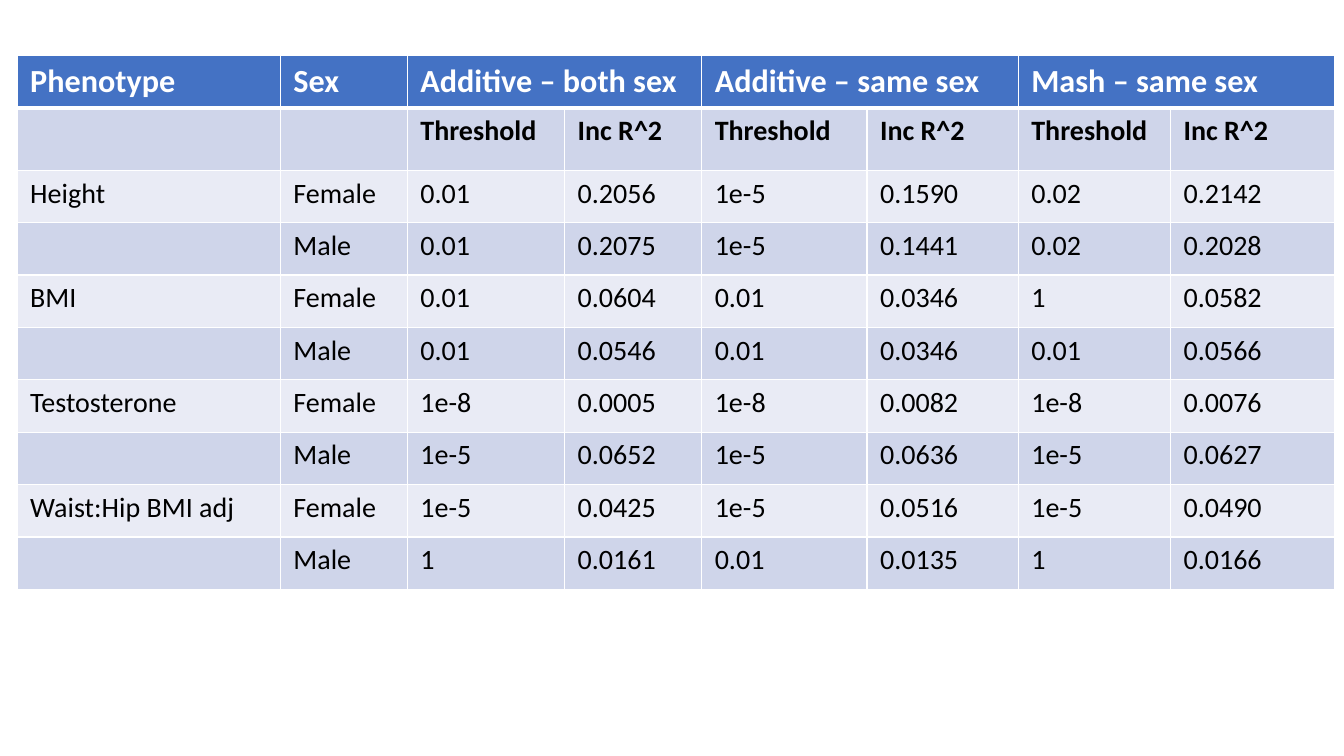
from lxml import etree
from pptx import Presentation
from pptx.dml.color import RGBColor
from pptx.oxml.ns import qn
from pptx.util import Inches, Pt

GROUPS = ["Additive – both sex", "Additive – same sex", "Mash – same sex"]
MEASURES = ["Threshold", "Inc R^2"]
# Phenotype: one line per sex, with threshold and R^2 for each group
RESULTS = {
    "Height": {
        "Female": ["0.01", "0.2056", "1e-5", "0.1590", "0.02", "0.2142"],
        "Male": ["0.01", "0.2075", "1e-5", "0.1441", "0.02", "0.2028"],
    },
    "BMI": {
        "Female": ["0.01", "0.0604", "0.01", "0.0346", "1", "0.0582"],
        "Male": ["0.01", "0.0546", "0.01", "0.0346", "0.01", "0.0566"],
    },
    "Testosterone": {
        "Female": ["1e-8", "0.0005", "1e-8", "0.0082", "1e-8", "0.0076"],
        "Male": ["1e-5", "0.0652", "1e-5", "0.0636", "1e-5", "0.0627"],
    },
    "Waist:Hip BMI adj": {
        "Female": ["1e-5", "0.0425", "1e-5", "0.0516", "1e-5", "0.0490"],
        "Male": ["1", "0.0161", "0.01", "0.0135", "1", "0.0166"],
    },
}

THEME = {
    "font": "Calibri", "header_size": 23, "body_size": 20,
    "header_fill": "4472C4", "bands": ["E9EBF5", "CFD5EA"],
    "header_text": "FFFFFF", "body_text": "000000",
    "border": "FFFFFF", "thin": 1, "thick": 3,
}
SLIDE_SIZE = (13.33, 7.5)
TABLE_LEFT, TABLE_TOP = 0.17, 0.55
COLUMN_WIDTHS = [2.61, 1.26, 1.56, 1.36, 1.64, 1.5, 1.51, 1.63]
ROW_HEIGHT, MEASURE_ROW_HEIGHT = 0.52, 0.62
MARGIN_X, MARGIN_Y = 0.13, 0.06
BLANK_LAYOUT = 6


def table_rows():
    """Return the text of every row, headers first."""
    group_cells = [text for group in GROUPS for text in (group, "")]
    rows = [["Phenotype", "Sex"] + group_cells,
            ["", ""] + MEASURES * len(GROUPS)]
    for phenotype, by_sex in RESULTS.items():
        for index, (sex, values) in enumerate(by_sex.items()):
            rows.append([phenotype if index == 0 else "", sex] + values)
    return rows


def set_borders(cell, bottom_width, top_width):
    """Draw white lines on the four sides of a cell."""
    properties = cell._tc.get_or_add_tcPr()
    thin = THEME["thin"]
    sides = {"L": thin, "R": thin, "T": top_width, "B": bottom_width}
    for side, width in sides.items():
        line = etree.SubElement(properties, qn(f"a:ln{side}"), w=str(Pt(width)))
        fill = etree.SubElement(line, qn("a:solidFill"))
        etree.SubElement(fill, qn("a:srgbClr"), val=THEME["border"])


def style_cell(cell, text, row_index):
    """Fill one cell and set its text, margins and borders."""
    is_header = row_index == 0
    thin, thick = THEME["thin"], THEME["thick"]
    set_borders(cell, thick if is_header else thin,
                thick if row_index == 1 else thin)
    cell.fill.solid()
    fill = THEME["header_fill"] if is_header else THEME["bands"][row_index % 2]
    cell.fill.fore_color.rgb = RGBColor.from_string(fill)
    cell.margin_left = cell.margin_right = Inches(MARGIN_X)
    cell.margin_top = cell.margin_bottom = Inches(MARGIN_Y)
    if not text:
        return
    paragraph = cell.text_frame.paragraphs[0]
    paragraph.text = text
    font = paragraph.font
    font.name = THEME["font"]
    font.size = Pt(THEME["header_size" if is_header else "body_size"])
    font.bold = row_index < 2
    color = THEME["header_text" if is_header else "body_text"]
    font.color.rgb = RGBColor.from_string(color)


def add_results_table(slide):
    """Add the table of thresholds and R^2 values."""
    rows = table_rows()
    heights = [ROW_HEIGHT] * len(rows)
    heights[1] = MEASURE_ROW_HEIGHT
    table = slide.shapes.add_table(
        len(rows), len(COLUMN_WIDTHS), Inches(TABLE_LEFT), Inches(TABLE_TOP),
        Inches(sum(COLUMN_WIDTHS)), Inches(sum(heights))).table
    for column, width in zip(table.columns, COLUMN_WIDTHS):
        column.width = Inches(width)
    for row_index, texts in enumerate(rows):
        table.rows[row_index].height = Inches(heights[row_index])
        for column_index, text in enumerate(texts):
            style_cell(table.cell(row_index, column_index), text, row_index)
    first_group = len(COLUMN_WIDTHS) - len(GROUPS) * len(MEASURES)
    for start in range(first_group, len(COLUMN_WIDTHS), len(MEASURES)):
        table.cell(0, start).merge(table.cell(0, start + len(MEASURES) - 1))


presentation = Presentation()
presentation.slide_width, presentation.slide_height = map(Inches, SLIDE_SIZE)
slide = presentation.slides.add_slide(presentation.slide_layouts[BLANK_LAYOUT])
add_results_table(slide)
presentation.save("out.pptx")
